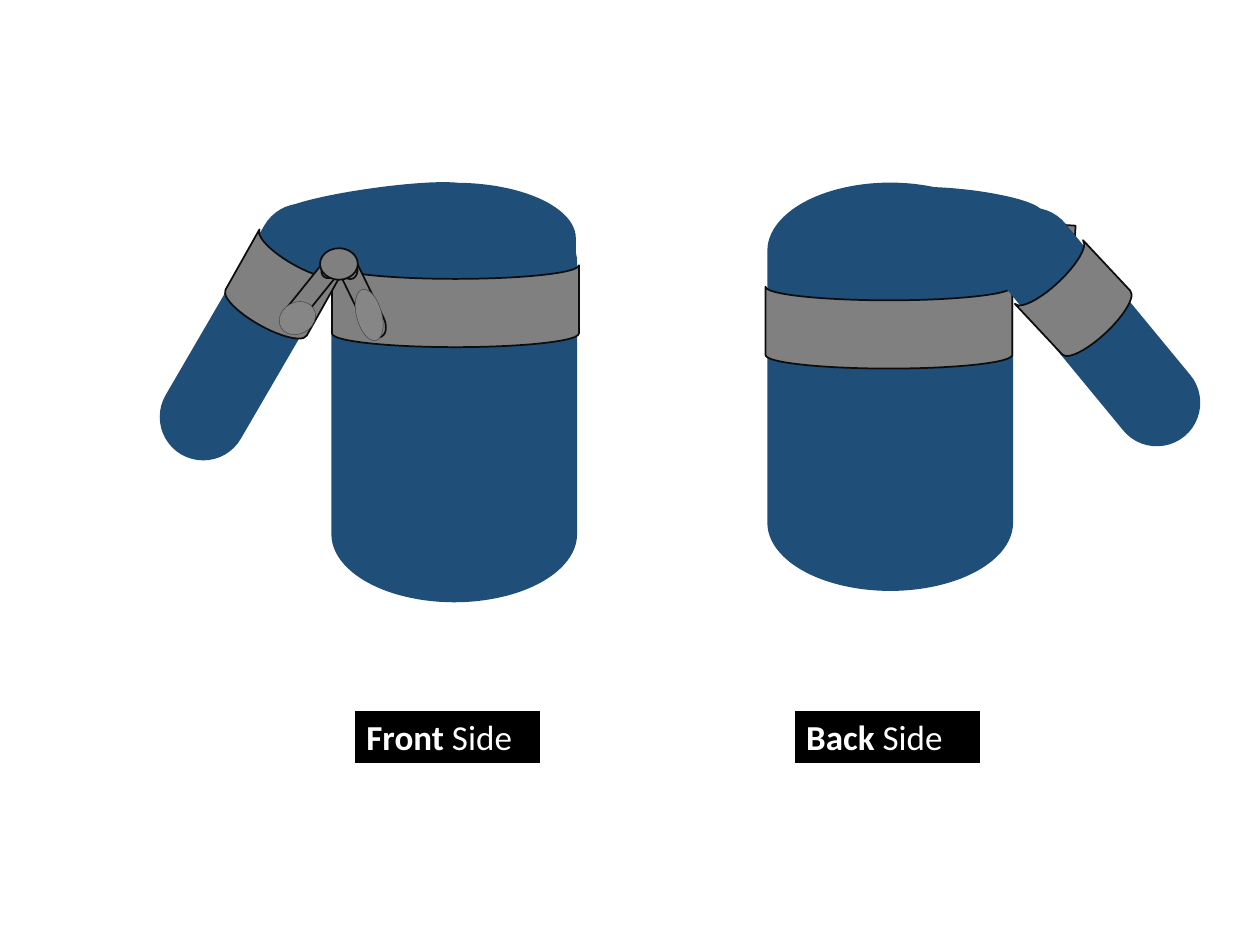
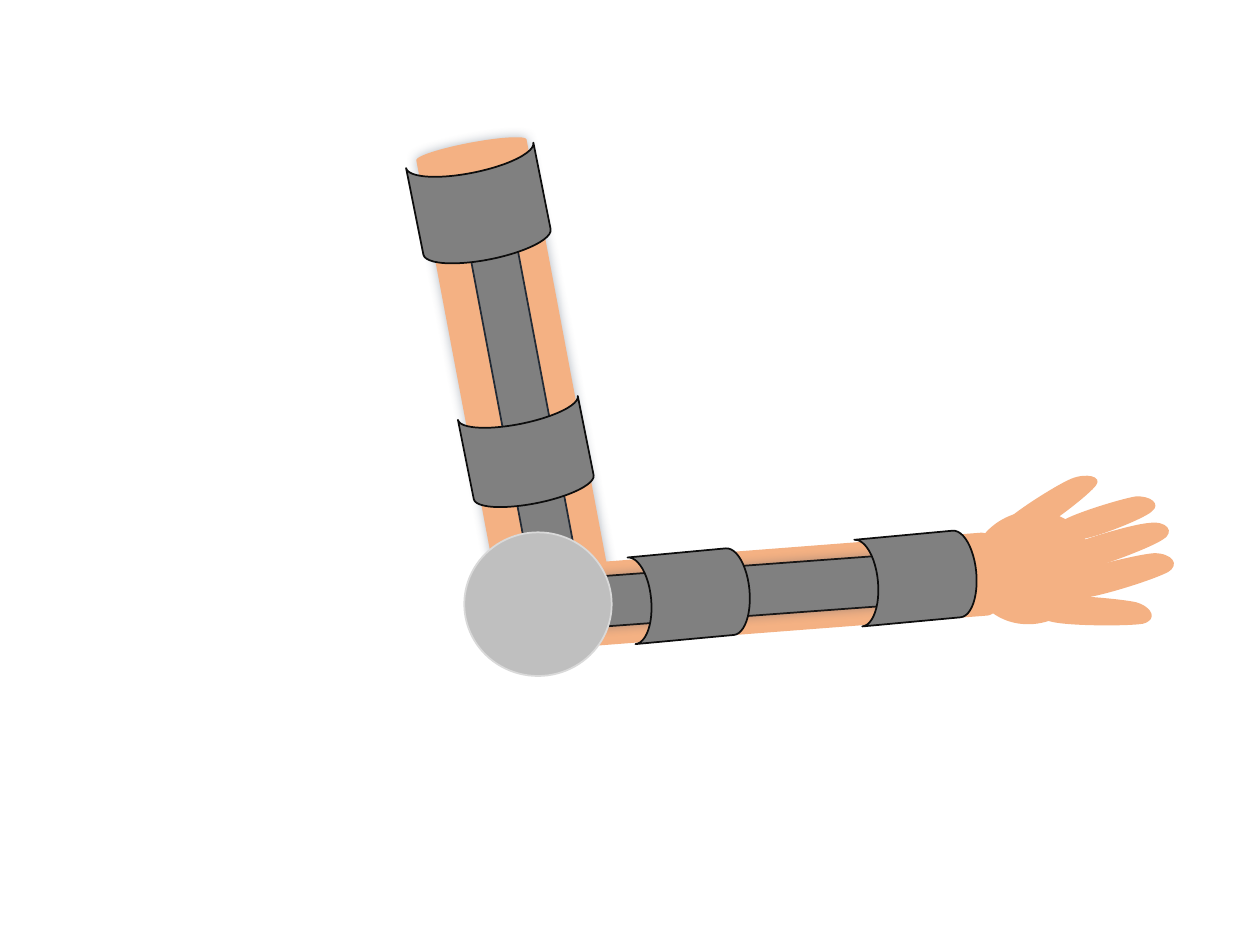
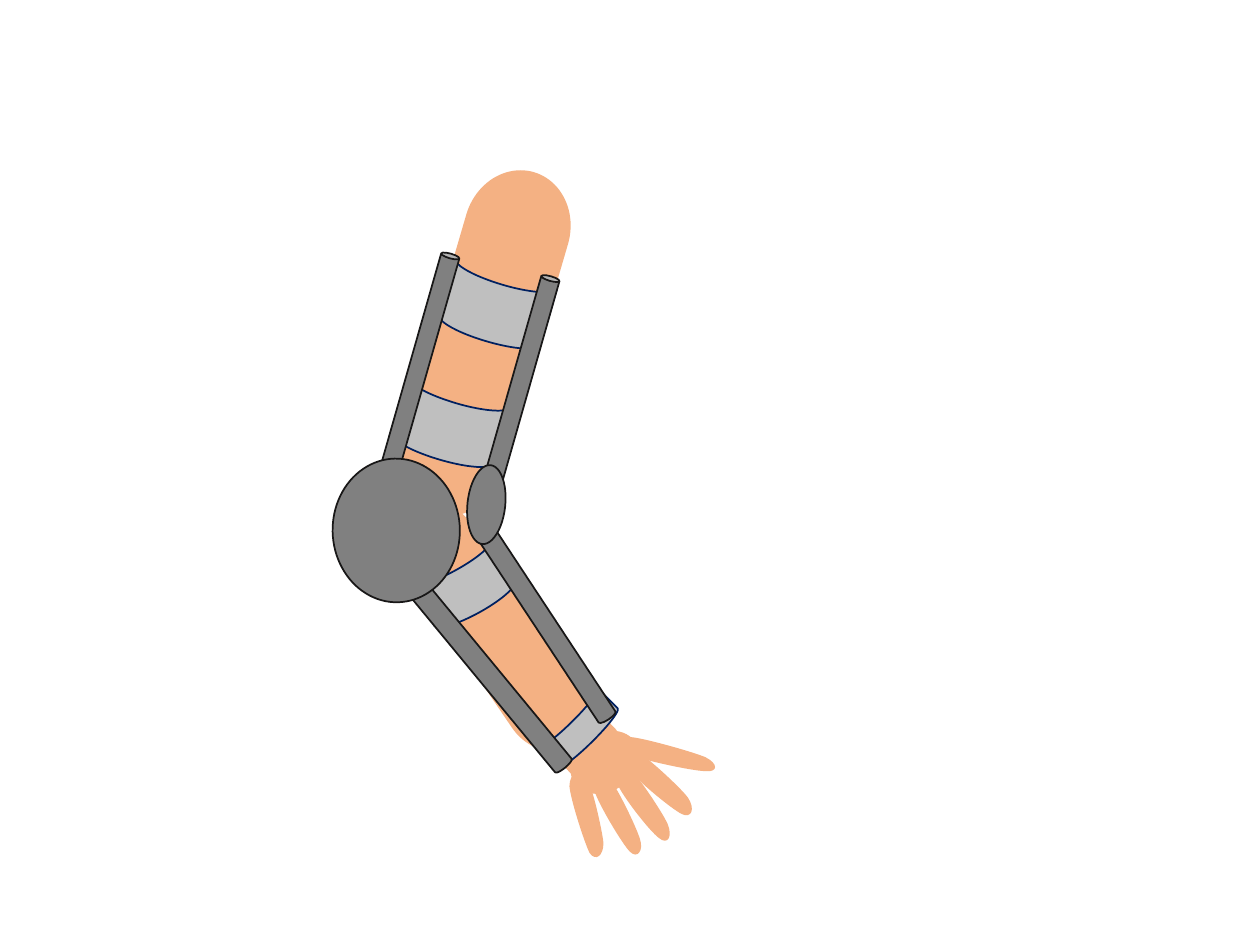
import math

from lxml import etree
from pptx import Presentation
from pptx import util as u
from pptx.dml.color import RGBColor
from pptx.enum import shapes, text
from pptx.oxml.ns import qn

PX = 9144  # EMU in one px, 100 px to the inch
KIND = shapes.MSO_SHAPE
DISK = KIND.FLOWCHART_MAGNETIC_DISK
BAND = KIND.FLOWCHART_STORED_DATA
DOT = KIND.FLOWCHART_CONNECTOR
PILL = KIND.FLOWCHART_TERMINATOR
CAN = KIND.CAN

THEME = {
    "font": "Calibri",
    "size": 20,
    "ink": "FFFFFF",
    # paint: fill, line, line width in points
    "cloth": ("1F4E79", None, 0),
    "skin": ("F4B183", None, 0),
    "strap": ("808080", "0D0D0D", 1),
    "tail": ("868686", "404040", 0.25),
    "bar": ("808080", "181717", 1),
    "rail": ("808080", "222A35", 1),
    "cuff": ("BFBFBF", "002060", 1),
    "joint": ("BFBFBF", "D9D9D9", 1),
    "label": ("000000", "FFFFFF", 1.5),
    "shade": ("44546A", 6, 40),  # colour, blur in points, opacity in percent
}

# Part: shape, left, top, width, height, turn, paint, options
FRONT = [
    (PILL, 274, 102, 51, 145, 262.1, "cloth"),
    (KIND.FLOWCHART_DELAY, 317, 93, 88, 192, 270, "cloth"),
    (DISK, 263, 154, 195, 324, 0, "cloth"),
    (BAND, 329, 145, 65, 196, 270, "strap"),
    (KIND.ROUNDED_RECTANGLE, 166, 151, 69, 225, 30.2, "cloth", {"adj": 0.5}),
    (BAND, 189, 192, 66, 74, 299.4, "strap"),
    (DISK, 278, 194, 16, 77, 334, "strap"),
    (DOT, 283, 229, 20, 42, 345, "tail"),
    (DISK, 242, 193, 15, 72, 38.8, "strap"),
    (DOT, 254, 197, 30, 25, 0, "strap"),
    (DOT, 221, 240, 30, 25, 330, "tail"),
]
STRIP = [(KIND.RECTANGLE, 791, 177, 62, 22, 3.8, "strap", {"flip": True})]
BACK = [
    (DISK, 609, 145, 195, 324, 0, "cloth"),
    (BAND, 673, 162, 65, 196, 270, "strap"),
    (KIND.ROUNDED_RECTANGLE, 834, 147, 69, 225, 320.5, "cloth", {"adj": 0.5}),
    (BAND, 822, 203, 66, 74, 226.9, "strap"),
    (PILL, 725, 122, 72, 128, 276.1, "cloth"),
]
LABELS = [(281, "Front"), (630, "Back")]

UPPER = [
    (CAN, 363, 110, 89, 371, 169.3, "skin", {"adj": 0.129, "shade": True}),
    (CAN, 392, 138, 38, 326, 169.3, "rail"),
    (BAND, 339, 113, 84, 103, 258.7, "strap", {"flip": True}),
]
ELBOW = [(BAND, 380, 313, 77, 97, 258.7, "strap", {"flip": True})]
# Finger: left, top, width, height, turn, then the start point on the slide
# and four curves of three points each
FORE = [
    (CAN, 574, 279, 66, 380, 265.6, "skin", {"adj": 0.464}),
    (DOT, 774, 402, 89, 97, 251.2, "skin"),
    [839, 443, 56, 82, 243.2,
     (833, 493), (846, 497), (896, 497), (907, 495), (919, 492), (915, 482), (902, 478),
     (889, 475), (839, 471), (827, 473), (815, 476), (820, 490), (833, 493)],
    [857, 415, 56, 82, 225.3,
     (855, 475), (869, 475), (916, 460), (927, 454), (937, 448), (930, 439), (916, 439),
     (902, 440), (854, 452), (844, 458), (833, 464), (842, 476), (855, 475)],
    [853, 392, 56, 82, 222.1,
     (853, 454), (867, 452), (913, 435), (923, 428), (933, 422), (926, 413), (912, 415),
     (898, 416), (851, 430), (840, 437), (830, 444), (839, 455), (853, 454)],
    [850, 378, 56, 64, 214.9,
     (857, 428), (869, 427), (907, 412), (914, 406), (922, 400), (913, 393), (901, 394),
     (889, 396), (850, 408), (842, 414), (834, 419), (845, 429), (857, 428)],
    [800, 373, 68, 55, 189.7,
     (821, 422), (833, 417), (865, 392), (870, 385), (875, 378), (862, 375), (850, 380),
     (838, 385), (802, 408), (797, 415), (792, 422), (809, 427), (821, 422)],
    (CAN, 557, 335, 40, 270, 265.8, "bar", {"shade": True}),
    (KIND.OVAL, 370, 421, 114, 117, 270, "joint"),
    (BAND, 681, 424, 94, 69, 174.7, "strap"),
    (BAND, 501, 438, 94, 69, 174.7, "strap"),
]

BRACE = [
    (DISK, 342, 131, 84, 283, 16.3, "skin"),
    (BAND, 366, 202, 56, 84, 286.3, "cuff"),
    (BAND, 329, 296, 56, 84, 286.3, "cuff"),
    (CAN, 406, 216, 15, 174, 15.9, "bar"),
    (CAN, 326, 198, 15, 178, 15.9, "bar"),
]
HAND = [
    [490, 608, 42, 59, 293.9,
     (490, 622), (494, 632), (516, 660), (523, 665), (530, 671), (534, 664), (530, 654),
     (526, 645), (506, 615), (499, 609), (492, 604), (486, 613), (490, 622)],
    (DISK, 438, 570, 50, 36, 316.5, "skin"),
    [445, 616, 42, 60, 314.2,
     (452, 624), (453, 635), (464, 669), (468, 677), (473, 684), (479, 679), (479, 669),
     (478, 659), (470, 623), (465, 615), (460, 608), (452, 614), (452, 624)],
    [470, 616, 42, 60, 301.2,
     (472, 628), (475, 638), (494, 670), (500, 676), (506, 682), (511, 675), (508, 666),
     (505, 656), (489, 623), (483, 617), (477, 610), (469, 619), (472, 628)],
    [502, 591, 42, 60, 281.5,
     (499, 610), (505, 619), (533, 642), (541, 646), (549, 650), (552, 642), (546, 633),
     (540, 625), (513, 600), (505, 596), (497, 592), (493, 602), (499, 610)],
    [512, 563, 36, 71, 261.8,
     (500, 599), (509, 603), (550, 612), (560, 612), (570, 613), (570, 606), (560, 601),
     (551, 597), (512, 586), (501, 585), (491, 585), (490, 594), (500, 599)],
    (DOT, 451, 582, 58, 46, 325.8, "skin"),
    (DISK, 358, 382, 64, 229, 325.8, "skin"),
    (BAND, 346, 430, 46, 72, 241.3, "cuff"),
    (BAND, 447, 546, 27, 66, 225.3, "cuff"),
    (CAN, 425, 404, 16, 182, 326.6, "bar", {"adj": 0.281}),
    (CAN, 371, 417, 17, 217, 320.5, "bar"),
]
HINGES = [
    (DOT, 264, 364, 101, 114, 358.7, "bar"),
    (DOT, 371, 369, 30, 63, 6.1, "bar"),
]

# Slide: (is a group, parts) from back to front, then labels
SLIDES = [
    ([(True, FRONT), (False, STRIP), (True, BACK)], LABELS),
    ([(True, UPPER), (False, ELBOW), (True, FORE)], []),
    ([(False, BRACE), (True, HAND), (False, HINGES)], []),
]


def coat(shape, paint):
    fill, line, width = THEME[paint]
    shape.shadow.inherit = False
    shape.fill.solid()
    shape.fill.fore_color.rgb = RGBColor.from_string(fill)
    if line:
        shape.line.color.rgb = RGBColor.from_string(line)
        shape.line.width = u.Pt(width)
    else:
        shape.line.fill.background()


def shade(shape):
    """Put a soft glow of shadow round the shape."""
    tint, blur, alpha = THEME["shade"]
    effects = shape.element.spPr.find(qn("a:effectLst"))
    cast = etree.SubElement(effects, qn("a:outerShdw"), blurRad=str(u.Pt(blur)))
    color = etree.SubElement(cast, qn("a:srgbClr"), val=tint)
    etree.SubElement(color, qn("a:alpha"), val=str(alpha * 1000))


def part(board, kind, x, y, w, h, turn, paint, opts=None):
    opts = opts or {}
    shape = board.add_shape(kind, x * PX, y * PX, w * PX, h * PX)
    shape.rotation = turn
    coat(shape, paint)
    if "adj" in opts:
        shape.adjustments[0] = opts["adj"]
    if opts.get("flip"):
        shape.element.spPr.get_or_add_xfrm().set("flipV", "1")
    if opts.get("shade"):
        shade(shape)
    return shape


def unturn(point, x, y, w, h, turn):
    """Turn a slide point back into the frame of a rotated box, in EMU."""
    dx, dy = point[0] - x - w / 2, point[1] - y - h / 2
    c, s = math.cos(math.radians(turn)), math.sin(math.radians(turn))
    return round((w / 2 + dx * c + dy * s) * PX), round((h / 2 - dx * s + dy * c) * PX)


def finger(board, x, y, w, h, turn, *points):
    spots = [unturn(p, x, y, w, h, turn) for p in points]
    pen = board.build_freeform(*spots[0])
    pen.add_line_segments(spots[1:], close=True)
    shape = pen.convert_to_shape()
    bend(shape, spots, w, h)
    shape.left, shape.top, shape.width, shape.height = (n * PX for n in (x, y, w, h))
    shape.rotation = turn
    coat(shape, "skin")


def bend(shape, spots, w, h):
    """Swap the straight outline for cubic curves through the same points."""
    track = next(shape.element.iter(qn("a:path")))
    for node in list(track):
        track.remove(node)
    track.set("w", str(w * PX))
    track.set("h", str(h * PX))
    moves = [("a:moveTo", spots[:1])]
    moves += [("a:cubicBezTo", spots[i:i + 3]) for i in range(1, len(spots), 3)]
    for tag, ends in moves + [("a:close", [])]:
        move = etree.SubElement(track, qn(tag))
        for px, py in ends:
            etree.SubElement(move, qn("a:pt"), x=str(px), y=str(py))


def write(para, words, bold=False):
    run = para.add_run()
    run.text = words
    run.font.name = THEME["font"]
    run.font.size = u.Pt(THEME["size"])
    run.font.bold = bold
    run.font.color.rgb = RGBColor.from_string(THEME["ink"])


def label(board, x, side):
    frame = part(board, KIND.RECTANGLE, x, 563, 149, 44, 0, "label").text_frame
    frame.word_wrap = True
    frame.auto_size = text.MSO_AUTO_SIZE.SHAPE_TO_FIT_TEXT
    frame.vertical_anchor = text.MSO_ANCHOR.TOP
    para = frame.paragraphs[0]
    para.alignment = text.PP_ALIGN.LEFT
    write(para, side, bold=True)
    write(para, " Side")


def main():
    deck = Presentation()
    deck.slide_width, deck.slide_height = 1000 * PX, 750 * PX
    for layers, labels in SLIDES:
        page = deck.slides.add_slide(deck.slide_layouts[6]).shapes
        for grouped, parts in layers:
            board = page.add_group_shape().shapes if grouped else page
            for item in parts:
                draw = finger if isinstance(item, list) else part
                draw(board, *item)
        for x, side in labels:
            label(page, x, side)
    deck.save("out.pptx")


if __name__ == "__main__":
    main()
